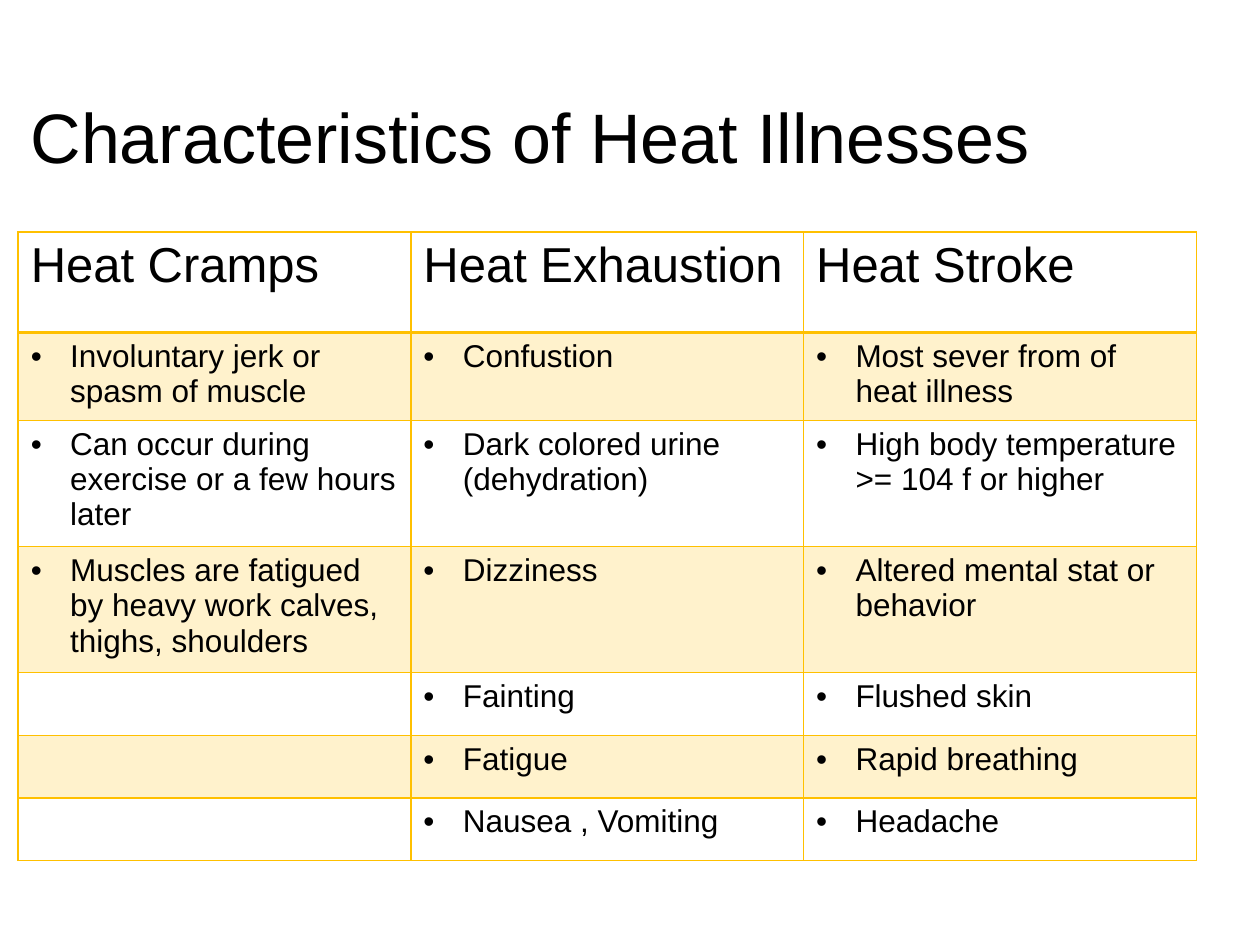
"""Build a slide with a table comparing three heat illnesses."""
import pptx
import pptx.dml.color
import pptx.enum.text
import pptx.oxml
import pptx.oxml.ns
import pptx.util

Pt = pptx.util.Pt
GOLD, PALE_GOLD, BLACK = "FFC000", "FFF2CC", "000000"


def color(value):
    return pptx.dml.color.RGBColor.from_string(value)


def add_text(tf, text, size=18, line_spacing=None, bullet=False):
    p = tf.paragraphs[0]
    if line_spacing:
        p.line_spacing = line_spacing
    if bullet:
        pPr = p._p.get_or_add_pPr()
        pPr.set("marL", str(Pt(22.5)))
        pPr.set("indent", str(Pt(-22.5)))
        ns = pptx.oxml.ns.nsdecls("a")
        pPr.append(pptx.oxml.parse_xml(f'<a:buFont {ns} typeface="Arial"/>'))
        pPr.append(pptx.oxml.parse_xml(f'<a:buChar {ns} char="•"/>'))
    r = p.add_run()
    r.text = text
    r.font.size = Pt(size)
    r.font.name = "Arial"
    r.font.color.rgb = color(BLACK)


prs = pptx.Presentation()
prs.slide_width, prs.slide_height = Pt(720), Pt(540)
s = prs.slides.add_slide(prs.slide_layouts[6])

sp = s.shapes.add_textbox(Pt(10.4), Pt(28), Pt(620.6), Pt(104.4))
tf = sp.text_frame
tf.word_wrap = True
tf.vertical_anchor = pptx.enum.text.MSO_ANCHOR.MIDDLE
add_text(tf, "Characteristics of Heat Illnesses", size=40, line_spacing=0.9)

rows = [
    ["Heat Cramps", "Heat Exhaustion", "Heat Stroke"],
    ["Involuntary jerk or spasm of muscle", "Confustion", "Most sever from of heat illness"],
    ["Can occur during exercise or a few hours later", "Dark colored urine (dehydration)",
     "High body temperature >= 104 f or higher"],
    ["Muscles are fatigued by heavy work calves, thighs, shoulders", "Dizziness",
     "Altered mental stat or behavior"],
    ["", "Fainting", "Flushed skin"],
    ["", "Fatigue", "Rapid breathing"],
    ["", "Nausea , Vomiting", "Headache"],
]
heights = [57.3] + [35.8] * (len(rows) - 1)
table = s.shapes.add_table(len(rows), 3, Pt(10.4), Pt(132.6), Pt(673.2), Pt(sum(heights))).table
table.first_row = table.horz_banding = False
for column in table.columns:
    column.width = Pt(224.4)

for i, texts in enumerate(rows):
    table.rows[i].height = Pt(heights[i])
    for j, text in enumerate(texts):
        cell = table.cell(i, j)
        if i % 2:
            cell.fill.solid()
            cell.fill.fore_color.rgb = color(PALE_GOLD)
        else:
            cell.fill.background()
        if text:
            add_text(cell.text_frame, text, size=18 if i else 28, bullet=i > 0)
        tcPr = cell._tc.get_or_add_tcPr()
        for k, side in enumerate("LRTB"):
            heavy = (i, side) in [(0, "B"), (1, "T")]
            tcPr.insert(k, pptx.oxml.parse_xml(
                f'<a:ln{side} {pptx.oxml.ns.nsdecls("a")} w="{Pt(2 if heavy else 1)}">'
                f'<a:solidFill><a:srgbClr val="{GOLD}"/></a:solidFill></a:ln{side}>'))

prs.save("out.pptx")
